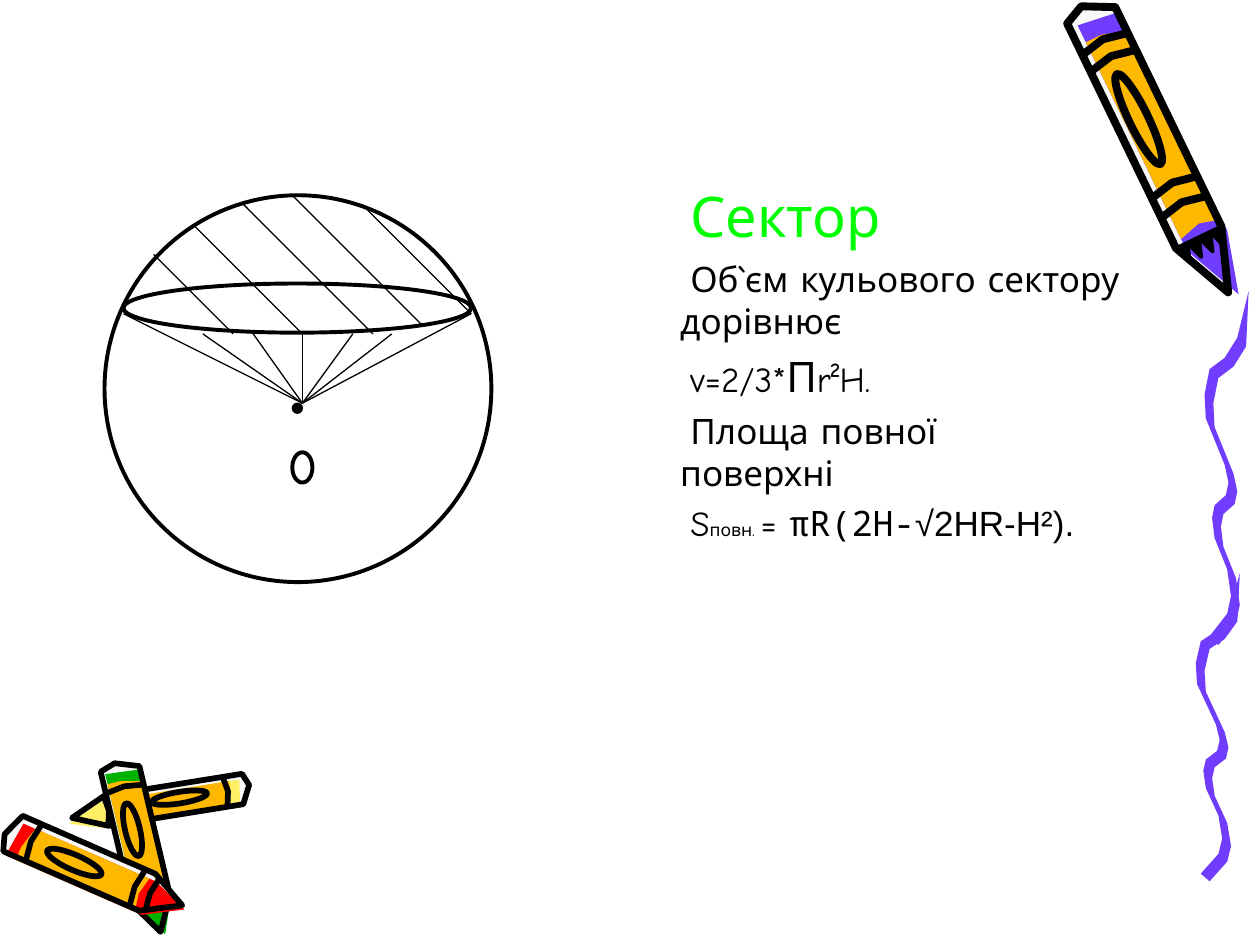
from dataclasses import dataclass
from math import atan2, cos, degrees, hypot, sin
from lxml.etree import SubElement
from pptx import Presentation
from pptx.dml.color import RGBColor
from pptx.enum.shapes import MSO_CONNECTOR, MSO_SHAPE
from pptx.enum.text import MSO_ANCHOR
from pptx.oxml.ns import qn
from pptx.util import Inches, Pt

THEME = {
    "purple": "703DFF", "wrapper": "FFB800", "pale": "F8F8F8", "yellow": "FFEF66",
    "red": "FF0000", "green": "00B200", "ink": "000000", "title": "00FF00",
    "font": "Comic Neue", "mono": "Noto Sans Mono", "sans": "Arial",
    "head": 32, "large": 24, "body": 20, "sub": 10,
    "thin": 0.75, "bold": 2.25, "small crayon": 3.25, "large crayon": 4.5,
}


@dataclass
class Crayon:
    wax: str
    blunt_end: tuple
    tip: tuple
    width: float
    wax_shift: float
    bands: tuple
    teeth: int = 0
    weight: str = "small crayon"

    def at(self, along, across):
        (x0, y0), (x1, y1) = self.blunt_end, self.tip
        dx, dy = x1 - x0, y1 - y0
        side = across * self.width / hypot(dx, dy)
        return x0 + along * dx + side * dy, y0 + along * dy - side * dx

    def points(self, local, shift=(0, 0)):
        return [self.at(along + shift[0], across + shift[1]) for along, across in local]


CRAYONS = [
    Crayon("yellow", (1.94, 6.26), (0.57, 6.48), 0.24, 0.12, (0.11, 0.8)),
    Crayon("green", (0.95, 6.09), (1.26, 7.4), 0.31, 0.05, (0.13,)),
    Crayon("red", (0.09, 6.61), (1.44, 7.2), 0.32, -0.12, (0.13, 0.74, 0.83)),
    Crayon("purple", (8.65, 0.1), (9.73, 2.33), 0.4, 0.12, (0.11, 0.17, 0.62, 0.69), 4, "large crayon"),
]
SHOULDER = 0.8
OUTLINE = [(0, -0.5), (-0.03, -0.1), (0.02, 0.5), (SHOULDER, 0.5), (1, 0.05), (SHOULDER, -0.5)]
WAX = [(0, -0.45), (0.02, 0.45), (SHOULDER, 0.45), (1, 0.1), (SHOULDER, -0.45)]
WRAPPER = [(0.06, -0.45), (0.06, -0.1), (0.09, 0.45), (0.76, 0.45), (0.74, 0), (0.76, -0.45)]
WAX_SLIDE = 0.02
BAND_BOW = 0.015
EMBLEM = {"along": 0.375, "across": -0.05, "length": 0.32, "width": 0.38}
TOOTH_DEPTH = 0.06

SQUIGGLE_EDGE = [
    (0.35, 0), (0.26, 0.37), (0.16, 0.53), (0.04, 0.62), (0, 0.82), (0.01, 1.01), (0.16, 1.38), (0.19, 1.52),
    (0.17, 1.62), (0.08, 1.7), (0.06, 1.8), (0.08, 1.96), (0.18, 2.21), (0.21, 2.42), (0.18, 2.56), (0.04, 2.74),
]
RIBBON_SHIFT = (0.07, 0.07)
SQUIGGLES = [(9.49, 4.55, 0.87), (9.56, 2.31, 1)]

PARAGRAPHS = [
    (8, [("Сектор", "head", "font", "title")]),
    (5, [("Об`єм кульового сектору дорівнює", "body", "font", "ink")]),
    (5, [("v=2/3*", "body", "font", "ink"), ("П", "large", "font", "ink"), ("r²H.", "body", "font", "ink")]),
    (5, [("Площа повної\vповерхні", "body", "font", "ink")]),
    (5, [("S", "body", "font", "ink"), ("повн. ", "sub", "font", "ink"), ("= ", "body", "font", "ink"),
         ("πR(2H-", "body", "mono", "ink"), ("√2HR-H²).", "body", "sans", "ink")]),
]

BALL = {
    "sphere": (0.83, 1.55, 3.07, 3.07, None, "bold"),
    "letter O": (2.32, 3.59, 0.16, 0.24, None, "bold"),
    "cap rim": (0.98, 2.25, 2.76, 0.39, None, "bold"),
    "centre": (2.32, 3.2, 0.08, 0.08, "ink", "thin"),
}
APEX = (2.4, 3.2)
RIM_SIDES = {"y": 2.49, "x": (3.74, 0.98)}
RIM_FRONT = {"y": 2.65, "x": (1.61, 2.01, 3.11, 2.8, 2.4)}
HATCHES = [(1.22, 2.02, 0.63), (1.53, 1.78, 0.87), (1.93, 1.62, 1.03), (2.32, 1.55, 1.03), (2.87, 1.62, 0.87)]


def colour(name):
    return RGBColor.from_string(THEME[name])


def paint(sp, fill=None, weight=None):
    sp.shadow.inherit = False
    if fill:
        sp.fill.solid()
        sp.fill.fore_color.rgb = colour(fill)
    else:
        sp.fill.background()
    if weight:
        sp.line.color.rgb = colour("ink")
        sp.line.width = Pt(THEME[weight])
    else:
        sp.line.fill.background()


def add_path(s, points, fill=None, weight=None, close=True):
    pts = [(Inches(x), Inches(y)) for x, y in points]
    builder = s.shapes.build_freeform(*pts[0], scale=1.0)
    builder.add_line_segments(pts[1:], close=close)
    paint(builder.convert_to_shape(), fill, weight)


def add_ellipse(s, x, y, w, h, fill, weight, angle=0):
    sp = s.shapes.add_shape(MSO_SHAPE.OVAL, *map(Inches, (x, y, w, h)))
    sp.rotation = angle
    paint(sp, fill, weight)


def add_line(s, start, end):
    c = s.shapes.add_connector(MSO_CONNECTOR.STRAIGHT, *map(Inches, (*start, *end)))
    c.line.color.rgb = colour("ink")
    c.line.width = Pt(THEME["thin"])
    SubElement(c._element.spPr, qn("a:effectLst"))


def add_emblem(s, crayon):
    (x0, y0), (x1, y1) = crayon.blunt_end, crayon.tip
    cx, cy = crayon.at(EMBLEM["along"], EMBLEM["across"])
    w = EMBLEM["length"] * hypot(x1 - x0, y1 - y0)
    h = EMBLEM["width"] * crayon.width
    angle = degrees(atan2(y1 - y0, x1 - x0))
    add_ellipse(s, cx - w / 2, cy - h / 2, w, h, None, crayon.weight, angle)


def add_crayon(s, crayon):
    shift = (WAX_SLIDE, crayon.wax_shift)
    add_path(s, crayon.points(OUTLINE), "pale")
    add_path(s, crayon.points(WAX, shift), crayon.wax)
    add_path(s, crayon.points(WRAPPER, shift), "wrapper")
    add_path(s, crayon.points(OUTLINE), None, crayon.weight)
    for band in crayon.bands:
        arc = [(band, -0.45), (band - BAND_BOW, 0), (band, 0.45)]
        add_path(s, crayon.points(arc), None, crayon.weight, close=False)
    add_emblem(s, crayon)
    if crayon.teeth:
        steps = 2 * crayon.teeth
        zigzag = [(SHOULDER + TOOTH_DEPTH * (i % 2), i / steps - 0.5) for i in range(steps + 1)]
        add_path(s, crayon.points(zigzag), "ink", "bold")


def add_squiggle(s, left, top, stretch):
    edge = [(left + x, top + y * stretch) for x, y in SQUIGGLE_EDGE]
    dx, dy = RIBBON_SHIFT
    far_edge = [(x + dx, y + dy * stretch) for x, y in reversed(edge[1:])]
    add_path(s, edge + far_edge, "purple")


def add_formulas(s):
    tf = s.shapes.add_textbox(Inches(4.92), Inches(1.39), Inches(4.48), Inches(4.3)).text_frame
    tf.word_wrap = True
    tf.vertical_anchor = MSO_ANCHOR.TOP
    for i, (before, runs) in enumerate(PARAGRAPHS):
        p = tf.add_paragraph() if i else tf.paragraphs[0]
        p.space_before = Pt(before)
        pPr = p._p.get_or_add_pPr()
        pPr.set("marL", str(Inches(0.38)))
        pPr.set("indent", str(Inches(0.08)))
        for text, size, font, tint in runs:
            for j, part in enumerate(text.split("\v")):
                if j:
                    p.add_line_break()
                r = p.add_run()
                r.text = part
                r.font.size = Pt(THEME[size])
                r.font.name = THEME[font]
                r.font.color.rgb = colour(tint)


def add_ball(s):
    for ellipse in BALL.values():
        add_ellipse(s, *ellipse)
    for rim in (RIM_SIDES, RIM_FRONT):
        for x in rim["x"]:
            add_line(s, APEX, (x, rim["y"]))
    for x, y, run in HATCHES:
        add_line(s, (x, y), (x + run, y + run))


def main():
    prs = Presentation()
    prs.slide_width, prs.slide_height = Inches(10), Inches(7.5)
    s = prs.slides.add_slide(prs.slide_layouts[6])
    for crayon in CRAYONS:
        add_crayon(s, crayon)
    for squiggle in SQUIGGLES:
        add_squiggle(s, *squiggle)
    add_formulas(s)
    add_ball(s)
    prs.save("out.pptx")


if __name__ == "__main__":
    main()
